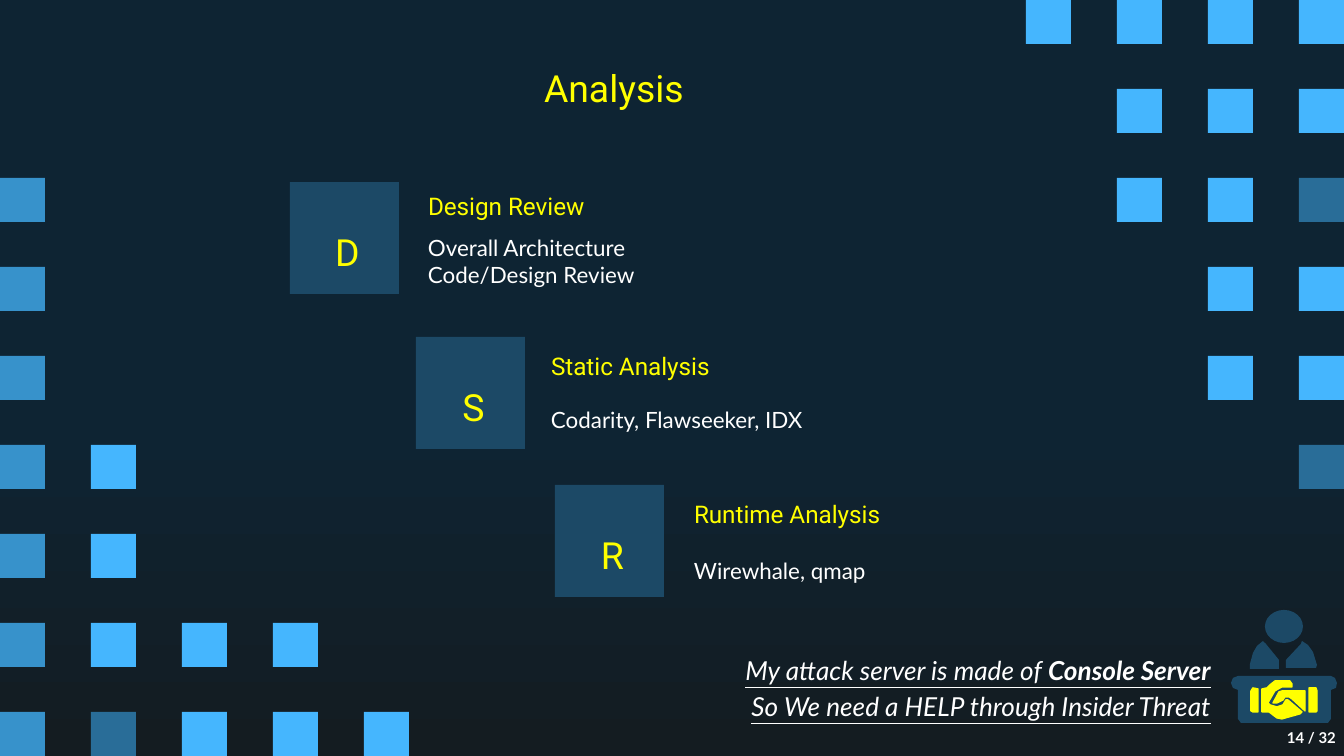
from dataclasses import dataclass

from pptx import Presentation
from pptx.dml.color import RGBColor
from pptx.enum.shapes import MSO_SHAPE as Shape
from pptx.enum.text import MSO_ANCHOR as Anchor, PP_ALIGN as Align
from pptx.util import Emu, Pt

WIDTH, HEIGHT = 1344, 756
SCALE = 9144000 / WIDTH


def px(length):
    """Turn pixels into EMU."""
    return Emu(round(length * SCALE))


@dataclass(frozen=True)
class Theme:
    """Colours and type styles of the slide."""
    night: str = "0E2433"
    soot: str = "141C21"
    bright: str = "45B6FE"
    middle: str = "3792CB"
    deep: str = "296D98"
    navy: str = "1C4966"
    yellow: str = "FFFF00"
    white: str = "FFFFFF"

    def font(self, role):
        """Return the font format of a text role."""
        name, size, color, extra = {
            "title": ("Roboto", 20, self.yellow, {}),
            "heading": ("Roboto", 13, self.yellow, {}),
            "body": ("Lato", 12, self.white, {}),
            "message": ("Lato", 14, self.white, {"italic": True, "underline": True}),
            "page": ("Lato", 8, self.white, {"bold": True}),
        }[role]
        return {"name": name, "size": Pt(size), **extra}, color


class SlideBuilder:
    """Draws styled elements on the current slide."""

    def __init__(self, slide, theme):
        self.slide, self.theme = slide, theme

    def background(self):
        """Fill the slide with a gradient that darkens downwards."""
        fill = self.slide.background.fill
        fill.gradient()
        fill.gradient_angle = 270
        colors = (self.theme.night, self.theme.soot)
        for stop, color, position in zip(fill.gradient_stops, colors, (0.56, 1)):
            stop.color.rgb = RGBColor.from_string(color)
            stop.position = position

    def paint(self, shape, color, outlined=False):
        """Give a shape a flat fill and an optional matching outline."""
        shape.shadow.inherit = False
        shape.fill.solid()
        shape.fill.fore_color.rgb = RGBColor.from_string(color)
        if outlined:
            shape.line.color.rgb = RGBColor.from_string(color)
            shape.line.width = Pt(0.75)
        else:
            shape.line.fill.background()

    def block(self, box, color, kind=Shape.RECTANGLE):
        """Draw a preset shape."""
        shape = self.slide.shapes.add_shape(kind, *map(px, box))
        self.paint(shape, color)

    def outline(self, points, color, outlined=False):
        """Draw a closed shape through the points."""
        builder = self.slide.shapes.build_freeform(*points[0], scale=SCALE)
        builder.add_line_segments(points[1:], close=True)
        self.paint(builder.convert_to_shape(), color, outlined)

    def squares(self, left, top, rows):
        """Draw a pattern of squares, one letter for each shade."""
        shades = {"B": self.theme.bright, "M": self.theme.middle, "D": self.theme.deep}
        for row, letters in enumerate(rows):
            for column, letter in enumerate(letters):
                if letter in shades:
                    self.block((left + 91 * column, top + 89 * row, 45, 44), shades[letter])

    def text(self, box, paragraphs, role, align=Align.LEFT, anchor=Anchor.TOP,
             sides=(13, 13), spacing=None):
        """Write paragraphs, each a list of (text, bold) runs or a string."""
        frame = self.slide.shapes.add_textbox(*map(px, box)).text_frame
        settings = {"word_wrap": True, "vertical_anchor": anchor,
                    "margin_left": px(sides[0]), "margin_right": px(sides[1]),
                    "margin_top": px(13), "margin_bottom": px(13)}
        for name, value in settings.items():
            setattr(frame, name, value)
        font_format, color = self.theme.font(role)
        for index, content in enumerate(paragraphs):
            paragraph = frame.add_paragraph() if index else frame.paragraphs[0]
            paragraph.alignment = align
            paragraph.line_spacing = spacing
            for words, bold in [(content, None)] if isinstance(content, str) else content:
                run = paragraph.add_run()
                run.text = words
                for name, value in {"bold": bold, **font_format}.items():
                    setattr(run.font, name, value)
                run.font.color.rgb = RGBColor.from_string(color)

    def card(self, left, top, letter, heading, lines, text_left, heading_shift, body_shift):
        """Draw a lettered tile with its heading and lines."""
        self.block((left, top, 109, 112), self.theme.navy)
        self.text((left + 26, top + 34, 56, 44), [letter], "title", Align.CENTER, sides=(7, 0))
        self.text((text_left, top + heading_shift, 410, 57), [heading], "heading",
                  anchor=Anchor.MIDDLE)
        self.text((text_left, top + body_shift, 380, 71), lines, "body", anchor=Anchor.MIDDLE)


LEFT_SQUARES = ["M", "M", "M", "MB", "MB", "MBBB", "MDBBB"]
RIGHT_SQUARES = ["BBBB", " BBB", " BBD", "  BB", "  BB", "   D"]
CARDS = [
    (290, 182, "D", "Design Review", ["Overall Architecture", "Code/Design Review"], 415, -5, 44),
    (416, 337, "S", "Static Analysis", ["Codarity, Flawseeker, IDX"], 538, 0, 47),
    (555, 485, "R", "Runtime Analysis", ["Wirewhale, qmap"], 681, 0, 50),
]
DESK = [(1238, 676), (1233, 678), (1231, 683), (1233, 688), (1238, 690), (1238, 719),
        (1241, 723), (1328, 723), (1331, 719), (1331, 690), (1336, 688), (1337, 683),
        (1335, 678), (1331, 676)]
SHOULDERS = [
    [(1302, 641), (1301, 644), (1286, 660), (1286, 668), (1316, 668), (1317, 665),
     (1313, 652), (1308, 645)],
    [(1263, 641), (1257, 646), (1253, 653), (1250, 664), (1250, 669), (1279, 669),
     (1279, 660), (1266, 644)],
]
HANDSHAKE = [
    [(1309, 688), (1309, 712), (1316, 712), (1317, 711), (1317, 691), (1316, 688)],
    [(1253, 688), (1251, 691), (1251, 711), (1253, 712), (1258, 712), (1258, 689)],
    [(1282, 691), (1279, 692), (1273, 703), (1277, 703), (1283, 700), (1285, 697),
     (1289, 697), (1292, 699), (1305, 711), (1305, 691)],
    [(1275, 681), (1270, 685), (1267, 688), (1262, 689), (1262, 712), (1269, 712),
     (1277, 718), (1282, 719), (1300, 714), (1302, 712), (1288, 700), (1286, 700),
     (1283, 705), (1277, 707), (1270, 705), (1268, 703), (1275, 691), (1282, 687),
     (1292, 687), (1292, 684), (1290, 681)],
]


def main():
    """Build the analysis slide."""
    presentation = Presentation()
    presentation.slide_width, presentation.slide_height = px(WIDTH), px(HEIGHT)
    slide = presentation.slides.add_slide(presentation.slide_layouts[6])
    theme = Theme()
    builder = SlideBuilder(slide, theme)

    builder.background()
    builder.squares(0, 178, LEFT_SQUARES)
    builder.squares(1026, 0, RIGHT_SQUARES)
    builder.text((44, 52, 1133, 48), ["Analysis"], "title", Align.CENTER, sides=(7, 0))
    for card in CARDS:
        builder.card(*card)

    builder.block((1265, 610, 38, 33), theme.navy, Shape.OVAL)
    for points in [DESK, *SHOULDERS]:
        builder.outline(points, theme.navy)
    for points in HANDSHAKE:
        builder.outline(points, theme.yellow, outlined=True)

    message = [
        [("My attack server is made of ", False), ("Console Server", True)],
        "So We need a HELP through Insider Threat",
    ]
    builder.text((464, 637, 760, 86), message, "message", Align.RIGHT, spacing=1.15)
    builder.text((1269, 720, 80, 58), ["14 / 32"], "page", Align.RIGHT)
    presentation.save("out.pptx")


if __name__ == "__main__":
    main()
